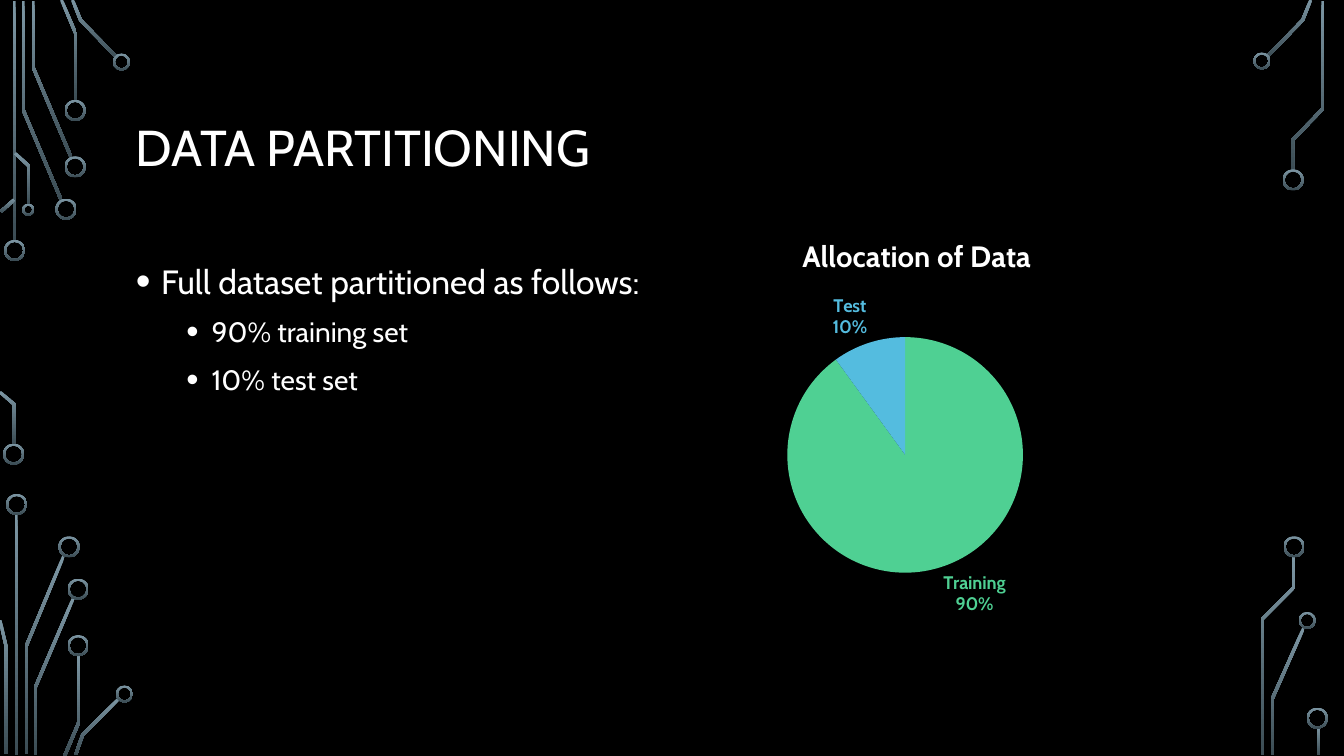
"""Build the data partitioning slide with circuit traces, bullets and a pie chart."""
import math
from dataclasses import dataclass
from typing import Any

from lxml import etree
from pptx import Presentation
from pptx.chart.data import CategoryChartData
from pptx.dml.color import RGBColor
from pptx.enum.chart import XL_CHART_TYPE, XL_LABEL_POSITION
from pptx.enum.shapes import MSO_SHAPE
from pptx.enum.text import MSO_ANCHOR
from pptx.oxml import parse_xml
from pptx.oxml.ns import nsdecls, qn
from pptx.util import Pt

PX = 9144
DONUT = MSO_SHAPE.DONUT
PIE = XL_CHART_TYPE.PIE
OUTSIDE_END = XL_LABEL_POSITION.OUTSIDE_END
MIDDLE = MSO_ANCHOR.MIDDLE
TRACE_WIDTH = 3
RING_WALL = 2


@dataclass(frozen=True)
class Theme:
    font: str = "Cabin"
    background: RGBColor = RGBColor(0, 0, 0)
    text: RGBColor = RGBColor(255, 255, 255)
    trace_top: RGBColor = RGBColor.from_string("7C96A3")
    trace_bottom: RGBColor = RGBColor.from_string("3B4C54")
    title: int = 36
    bullet: int = 24
    sub_bullet: int = 20
    chart_title: int = 21
    chart_label: int = 13


@dataclass(frozen=True)
class Trace:
    points: tuple[tuple[int, int], ...]


@dataclass(frozen=True)
class Ring:
    left: int
    top: int
    size: int = 21


@dataclass(frozen=True)
class Line:
    text: str
    size: int
    level: int = 0
    spacing: float = 1.2
    before: int = 0
    indent: int = 0


@dataclass(frozen=True)
class Slice:
    name: str
    value: int
    color: RGBColor


THEME = Theme()
TRACES = [
    Trace(((14, 1), (14, 240))),
    Trace(((23, 1), (23, 109), (61, 199))),
    Trace(((33, 1), (33, 67), (71, 157))),
    Trace(((61, 0), (75, 33), (75, 100))),
    Trace(((72, 0), (80, 20), (116, 57))),
    Trace(((14, 198), (1, 210))),
    Trace(((0, 389), (14, 401), (14, 441))),
    Trace(((15, 152), (29, 165), (29, 203))),
    Trace(((16, 510), (16, 749))),
    Trace(((63, 552), (26, 641), (26, 748))),
    Trace(((0, 615), (6, 641), (6, 748))),
    Trace(((73, 593), (35, 682), (35, 749))),
    Trace(((78, 650), (78, 717), (64, 750))),
    Trace(((118, 693), (82, 729), (75, 749))),
    Trace(((1300, 0), (1292, 20), (1257, 56))),
    Trace(((1312, 1), (1312, 108), (1282, 139), (1282, 169))),
    Trace(((1283, 552), (1283, 583), (1252, 614), (1252, 749))),
    Trace(((1293, 623), (1262, 693), (1262, 749))),
    Trace(((1308, 721), (1308, 749))),
]
RINGS = [
    Ring(4, 238), Ring(3, 440), Ring(55, 197), Ring(64, 155), Ring(64, 99),
    Ring(112, 53, 17), Ring(22, 202, 12), Ring(6, 490), Ring(58, 532),
    Ring(67, 574), Ring(67, 630), Ring(115, 680, 17), Ring(1243, 52, 17),
    Ring(1272, 168), Ring(1288, 607, 17), Ring(1273, 532), Ring(1296, 702),
]
TITLE = [Line("DATA PARTITIONING", THEME.title, spacing=0.9)]
BULLETS = [
    Line("Full dataset partitioned as follows:", THEME.bullet, 0, before=10, indent=25),
    Line("90% training set", THEME.sub_bullet, 1, before=5, indent=75),
    Line("10% test set", THEME.sub_bullet, 1, before=5, indent=75),
]
SLICES = [
    Slice("Training", 90, RGBColor.from_string("4FD093")),
    Slice("Test", 10, RGBColor.from_string("54BCDF")),
]


def set_font(font: Any, size: int, color: RGBColor, bold: bool = False) -> None:
    for name, value in {"name": THEME.font, "size": Pt(size), "bold": bold}.items():
        setattr(font, name, value)
    font.color.rgb = color


def paint(sp: Any) -> None:
    sp.shadow.inherit = False
    sp.line.fill.background()
    sp.fill.gradient()
    sp.fill.gradient_angle = 270
    for stop, color in zip(sp.fill.gradient_stops, (THEME.trace_top, THEME.trace_bottom)):
        stop.color.rgb = color


def edge(points: tuple[tuple[int, int], ...], offset: float) -> list[tuple[float, float]]:
    normals = []
    for (x1, y1), (x2, y2) in zip(points, points[1:]):
        length = math.hypot(x2 - x1, y2 - y1)
        normals.append(((y1 - y2) / length, (x2 - x1) / length))
    result = []
    for (x, y), (ax, ay), (bx, by) in zip(points, normals[:1] + normals, normals + normals[-1:]):
        miter = offset / (1 + ax * bx + ay * by)
        result.append(((x + (ax + bx) * miter) * PX, (y + (ay + by) * miter) * PX))
    return result


def add_trace(s: Any, trace: Trace) -> None:
    half = TRACE_WIDTH / 2
    outline = edge(trace.points, half) + edge(trace.points, -half)[::-1]
    builder = s.shapes.build_freeform(*outline[0], scale=1.0)
    builder.add_line_segments(outline[1:], close=True)
    paint(builder.convert_to_shape())


def add_ring(s: Any, ring: Ring) -> None:
    sp = s.shapes.add_shape(DONUT, ring.left * PX, ring.top * PX, ring.size * PX, ring.size * PX)
    sp.adjustments[0] = RING_WALL / ring.size
    paint(sp)


def add_text(s: Any, box: tuple[int, int, int, int], lines: list[Line]) -> Any:
    tf = s.shapes.add_textbox(*(v * PX for v in box)).text_frame
    tf.word_wrap = True
    for i, line in enumerate(lines):
        p = tf.add_paragraph() if i else tf.paragraphs[0]
        values = {"level": line.level, "line_spacing": line.spacing, "space_before": Pt(line.before)}
        for name, value in values.items():
            setattr(p, name, value)
        r = p.add_run()
        r.text = line.text
        set_font(r.font, line.size, THEME.text)
        if line.indent:
            pPr = p._p.get_or_add_pPr()
            pPr.set("marL", str(line.indent * PX))
            pPr.set("indent", str(-25 * PX))
            etree.SubElement(pPr, qn("a:buSzPct")).set("val", "125000")
            etree.SubElement(pPr, qn("a:buFont")).set("typeface", "Arial")
            etree.SubElement(pPr, qn("a:buChar")).set("char", "•")
    return tf


def place(parent: Any, index: int, **values: Any) -> None:
    for old in parent.findall(qn("c:layout")):
        parent.remove(old)
    fields = "".join(f'<c:{name} val="{value}"/>' for name, value in values.items())
    xml = f'<c:layout {nsdecls("c")}><c:manualLayout>{fields}</c:manualLayout></c:layout>'
    parent.insert(index, parse_xml(xml))


def add_pie(s: Any, box: tuple[int, int, int, int], title: str, slices: list[Slice]) -> None:
    data = CategoryChartData()
    data.categories = [part.name for part in slices]
    data.add_series("Series 1", [part.value for part in slices])
    chart = s.shapes.add_chart(PIE, *(v * PX for v in box), data).chart
    set_font(chart.font, THEME.chart_label, THEME.text)
    chart.has_legend = False
    chart.has_title = True
    p = chart.chart_title.text_frame.paragraphs[0]
    r = p.add_run()
    r.text = title
    set_font(r.font, THEME.chart_title, THEME.text, True)
    place(chart.chart_title._element, 1, xMode="edge", yMode="edge", x=0.29, y=0.05)
    place(chart._chartSpace.chart.plotArea, 0, layoutTarget="inner", xMode="edge",
          yMode="edge", x=0.27, y=0.3, w=0.43, h=0.55)
    series = chart.plots[0].series[0]
    for point, part in zip(series.points, slices):
        point.format.fill.solid()
        point.format.fill.fore_color.rgb = part.color
        point.format.line.fill.background()
        set_font(point.data_label.font, THEME.chart_label, part.color, True)
        point.data_label.position = OUTSIDE_END
    shown = {"showVal": "0", "showCatName": "1", "showPercent": "1"}
    for tag, value in shown.items():
        for flag in series._element.iter(qn(f"c:{tag}")):
            flag.set("val", value)
    for flag in list(series._element.iter(qn("c:showBubbleSize"))):
        flag.addnext(parse_xml(f'<c:separator {nsdecls("c")}>\n</c:separator>'))


def main() -> None:
    prs = Presentation()
    prs.slide_width, prs.slide_height = 1333 * PX, 750 * PX
    s = prs.slides.add_slide(prs.slide_layouts[6])
    s.background.fill.solid()
    s.background.fill.fore_color.rgb = THEME.background
    for trace in TRACES:
        add_trace(s, trace)
    for ring in RINGS:
        add_ring(s, ring)
    add_text(s, (125, 68, 1083, 162), TITLE).vertical_anchor = MIDDLE
    add_text(s, (125, 246, 1083, 387), BULLETS)
    add_pie(s, (631, 207, 550, 425), "Allocation of Data", SLICES)
    prs.save("out.pptx")


if __name__ == "__main__":
    main()
